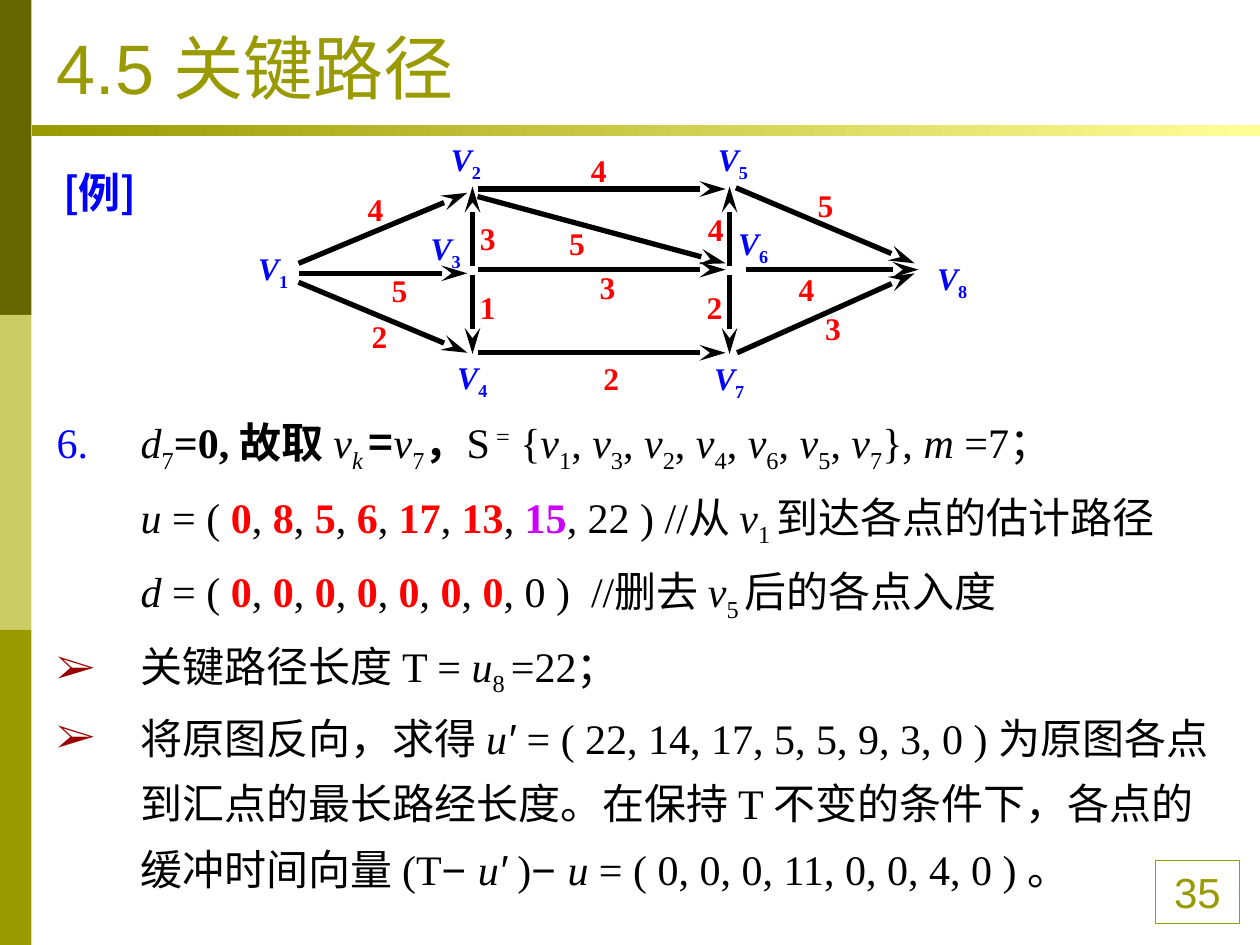
from lxml import etree
from pptx import Presentation
from pptx import util as u
from pptx.dml.color import RGBColor
from pptx.enum import shapes, text
from pptx.oxml.ns import qn

Pt = u.Pt
OLIVE = RGBColor(0x99, 0x99, 0x00)
DARK_OLIVE = RGBColor(0x66, 0x66, 0x00)
PALE_OLIVE = RGBColor(0xCC, 0xCC, 0x66)
PALE_YELLOW = RGBColor(0xFF, 0xFF, 0x99)
BLACK = RGBColor(0, 0, 0)
BLUE = RGBColor(0, 0, 0xFF)
RED = RGBColor(0xFF, 0, 0)
PURPLE = RGBColor(0xCC, 0, 0xFF)
SERIF, SANS, CJK = "Times New Roman", "Arial", "Noto Sans CJK SC"

STYLES = {"i": {"italic": True}, "b": {"bold": True}, "s": {"name": SANS}, "c": {"name": CJK}}
COLORS = {"R": RED, "P": PURPLE, "B": BLUE}
BASELINES = {"_": "-25000", "^": "30000"}

EDGES = [
    (170.6, 150.5, 267.1, 110.2, "4", 203, 105.1),
    (170.6, 156.2, 267.1, 156.2, "5", 216.7, 151.2),
    (170.6, 161.3, 267.1, 201.6, "2", 205.2, 177.8),
    (270, 151.9, 270, 106.6, "3", 267.1, 121.7),
    (270, 157, 270, 202.3, "1", 267.1, 161.3),
    (272.9, 108, 414.7, 108, "4", 330.5, 82.8),
    (272.9, 112.3, 414.7, 150.5, "5", 318.2, 124.6),
    (272.9, 154.1, 414.7, 154.1, "3", 335.5, 149.8),
    (272.9, 201.6, 414.7, 201.6, "2", 337.7, 201.6),
    (416.9, 151.9, 416.9, 106.6, "4", 397.4, 116.6),
    (416.9, 157, 416.9, 202.3, "2", 396.7, 161.3),
    (420.5, 107.3, 522.7, 150.5, "5", 460.1, 103),
    (426.2, 154.1, 524.9, 154.1, "4", 449.3, 150.5),
    (421.2, 201.6, 522.7, 156.2, "3", 464.4, 172.8),
]
VERTICES = [(140.4, 139), (250.6, 76.3), (239, 127.4), (254.2, 200.9),
            (403.2, 76.3), (414.7, 124.6), (401, 201.6), (528.5, 144.7)]


def set_attrs(obj, values):
    for name, value in values.items():
        setattr(obj, name, value)


def add_run(p, content, flags="", size=24, color=BLACK, font=SERIF):
    r = p.add_run()
    r.text = content
    fmt = {"size": Pt(size), "name": font, "bold": False, "italic": False}
    for flag in flags:
        fmt.update(STYLES.get(flag, {}))
        color = COLORS.get(flag, color)
    set_attrs(r.font, fmt)
    r.font.color.rgb = color
    rpr = r.font._element
    etree.SubElement(rpr, qn("a:ea"), typeface=CJK)
    for flag in flags:
        if flag in BASELINES:
            rpr.set("baseline", BASELINES[flag])


def place(sp, left, top, width, height):
    set_attrs(sp, {"left": Pt(left), "top": Pt(top), "width": Pt(width), "height": Pt(height)})


def add_rect(slide, left, top, width, height, color=None):
    sp = slide.shapes.add_shape(shapes.MSO_SHAPE.RECTANGLE,
                                Pt(left), Pt(top), Pt(width), Pt(height))
    sp.shadow.inherit = False
    sp.line.fill.background()
    if color is None:
        sp.fill.background()
    else:
        sp.fill.solid()
        sp.fill.fore_color.rgb = color
    return sp


def add_gradient_rule(slide):
    sp = add_rect(slide, 18, 71.3, 702, 6.5, OLIVE)
    sp.fill.gradient()
    sp.fill.gradient_angle = 0
    for stop, color in zip(sp.fill.gradient_stops, (OLIVE, PALE_YELLOW)):
        stop.color.rgb = color


def add_page_number(slide):
    sp = add_rect(slide, 660.2, 491.8, 48.2, 36)
    sp.line.color.rgb = OLIVE
    sp.line.width = Pt(0.75)
    p = sp.text_frame.paragraphs[0]
    p.alignment = text.PP_ALIGN.CENTER
    add_run(p, "35", "s", color=OLIVE)


def add_label(group, left, top, width, height, runs, color):
    sp = group.shapes.add_textbox(Pt(left), Pt(top), Pt(width), Pt(height))
    sp.text_frame.word_wrap = True
    for content, flags in runs:
        add_run(sp.text_frame.paragraphs[0], content, flags, 18, color)


def add_arrow(group, x1, y1, x2, y2):
    line = group.shapes.add_connector(shapes.MSO_CONNECTOR.STRAIGHT,
                                      Pt(x1), Pt(y1), Pt(x2), Pt(y2))
    line.line.color.rgb = BLACK
    line.line.width = Pt(3)
    etree.SubElement(line.line._get_or_add_ln(), qn("a:tailEnd"),
                     type="stealth", w="med", len="lg")
    etree.SubElement(line._element.spPr, qn("a:effectLst"))


def add_graph(slide):
    group = slide.shapes.add_group_shape()
    for x1, y1, x2, y2, weight, left, top in EDGES:
        add_arrow(group, x1, y1, x2, y2)
        add_label(group, left, top, 30.2, 28.8, [(weight, "b")], RED)
    for number, (left, top) in enumerate(VERTICES, 1):
        add_label(group, left, top, 36, 31.7, [("V", "bi"), (str(number), "b_")], BLUE)


def format_list_paragraph(p, bullet):
    ppr = p._p.get_or_add_pPr()
    ppr.set("marL", str(Pt(48)))
    ppr.set("indent", str(-Pt(48)))
    if bullet:
        color = etree.SubElement(ppr, qn("a:buClr"))
        etree.SubElement(color, qn("a:srgbClr"), val="990000")
        etree.SubElement(ppr, qn("a:buFont"), typeface=SERIF)
        etree.SubElement(ppr, qn("a:buChar"), char="➢")
    else:
        etree.SubElement(ppr, qn("a:buNone"))
        tabs = etree.SubElement(ppr, qn("a:tabLst"))
        etree.SubElement(tabs, qn("a:tab"), pos="0", algn="l")
    set_attrs(p, {"line_spacing": 1.3, "space_before": Pt(0),
                  "alignment": text.PP_ALIGN.LEFT})


def fill_list(sp, paragraphs):
    tf = sp.text_frame
    set_attrs(tf, {"word_wrap": True, "auto_size": text.MSO_AUTO_SIZE.NONE,
                   "vertical_anchor": text.MSO_ANCHOR.TOP})
    for index, (bullet, runs) in enumerate(paragraphs):
        p = tf.add_paragraph() if index else tf.paragraphs[0]
        format_list_paragraph(p, bullet)
        for content, flags in runs:
            add_run(p, content, flags)


def fill_title(sp):
    place(sp, 25.2, 15.1, 648, 50.4)
    set_attrs(sp.text_frame, {"word_wrap": True, "auto_size": text.MSO_AUTO_SIZE.NONE,
                              "vertical_anchor": text.MSO_ANCHOR.BOTTOM})
    p = sp.text_frame.paragraphs[0]
    p.alignment = text.PP_ALIGN.LEFT
    add_run(p, "4.5 关键路径", "s", 40, OLIVE)


def joined(items):
    runs = []
    for index, item in enumerate(items):
        runs += ([(", ", "")] if index else []) + item
    return runs


def vertex_set(numbers):
    return joined([[("v", "i"), (str(n), "_")] for n in numbers])


def vector(values):
    return joined([[(str(v), "bR")] for v in values])


def solution_steps():
    return [
        (False, [("6.\t", "B"), ("d", "i"), ("7", "_"), ("=0, ", "b"), ("故取 ", "bc"),
                 ("v", "i"), ("k ", "i_"), ("=", "bc"), ("v", "i"), ("7", "_"),
                 ("，", "bc"), ("S", ""), (" =", "^"), (" {", ""),
                 *vertex_set([1, 3, 2, 4, 6, 5, 7]), ("}, ", ""), ("m ", "i"), ("=7；", "")]),
        (False, [("\tu ", "i"), ("= ( ", ""), *vector([0, 8, 5, 6, 17, 13]), (", ", ""),
                 ("15", "bP"), (", 22 ) //从 ", ""), ("v", "i"), ("1 ", "_"),
                 ("到达各点的估计路径", "")]),
        (False, [("\td ", "i"), ("= ( ", ""), *vector([0] * 7), (", 0 )  //删去 ", ""),
                 ("v", "i"), ("5 ", "_"), ("后的各点入度", "")]),
        (True, [("关键路径长度 T = ", ""), ("u", "i"), ("8 ", "_"), ("=22；", "")]),
        (True, [("将原图反向，求得 ", ""), ("u", "i"), ("′ ", "is"),
                ("= ( 22, 14, 17, 5, 5, 9, 3, 0 ) 为原图各点到汇点的最长路经长度。"
                 "在保持 T 不变的条件下，各点的缓冲时间向量 (T", ""),
                ("− ", "s"), ("u", "i"), ("′", "is"), (" )", ""), ("− ", "s"), ("u", "i"),
                (" = ( 0, 0, 0, 11, 0, 0, 4, 0 ) 。", "")]),
    ]


def main():
    prs = Presentation()
    set_attrs(prs, {"slide_width": Pt(720), "slide_height": Pt(540)})
    slide = prs.slides.add_slide(prs.slide_layouts[3])
    title, example, steps = list(slide.placeholders)[:3]
    for index, color in enumerate((DARK_OLIVE, PALE_OLIVE, OLIVE)):
        add_rect(slide, 0, 180 * index, 18, 180, color)
    add_page_number(slide)
    add_gradient_rule(slide)
    add_graph(slide)
    fill_title(title)
    place(example, 28.8, 82.8, 76.3, 54)
    fill_list(example, [(False, [("[例]", "bcB")])])
    place(steps, 25.2, 224.6, 680.4, 290.2)
    fill_list(steps, solution_steps())
    prs.save("out.pptx")


if __name__ == "__main__":
    main()
